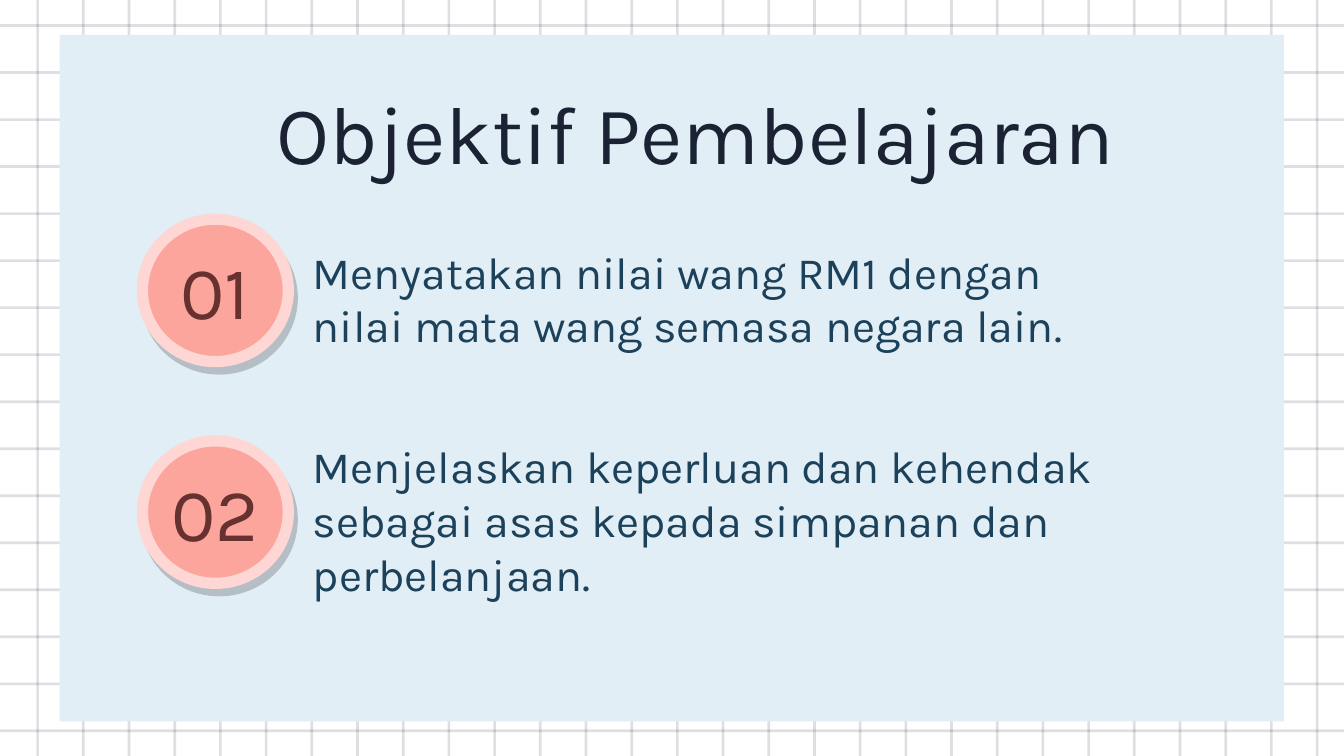
"""Build the learning objectives slide: a squared page, a card and numbered goals."""
import dataclasses

import lxml.etree
import pptx
import pptx.dml.color
import pptx.enum.shapes
import pptx.enum.text
import pptx.oxml.ns
import pptx.util

WIDTH = pptx.util.Inches(10)
HEIGHT = WIDTH * 9 // 16
FONT = "Karla"
COLORS = {
    "paper": "FFFFFF", "grid": "1A2233", "card": "E2EEF6", "title": "1A2233",
    "badge": "FBA59D", "ring": "FED7D5", "number": "66312E", "goal": "1C415A",
    "shadow": "000000",
}
SHAPES = pptx.enum.shapes.MSO_SHAPE
ALIGN = pptx.enum.text.PP_ALIGN
ANCHOR = pptx.enum.text.MSO_ANCHOR


@dataclasses.dataclass(frozen=True)
class Area:
    """Place and size in percent of the slide's width and height."""
    left: float
    top: float
    width: float
    height: float

    def lengths(self) -> tuple[int, int, int, int]:
        """Return left, top, width and height in EMU."""
        return (round(WIDTH * self.left / 100), round(HEIGHT * self.top / 100),
                round(WIDTH * self.width / 100), round(HEIGHT * self.height / 100))


@dataclasses.dataclass(frozen=True)
class Goal:
    """A numbered learning objective."""
    number: str
    text: str


GOALS = (
    Goal("01", "Menyatakan nilai wang RM1 dengan nilai mata wang semasa negara lain."),
    Goal("02", "Menjelaskan keperluan dan kehendak sebagai asas kepada simpanan "
               "dan perbelanjaan."),
)
GOAL_TOP, GOAL_STEP = 29, 29.33
GRID_ROWS, ROW_TOP, ROW_STEP = 16, 3.2, 6.22
GRID_COLUMNS, COLUMN_LEFT, COLUMN_STEP = 29, 2.7, 3.4


def rgb(name: str) -> pptx.dml.color.RGBColor:
    """Return a named colour."""
    return pptx.dml.color.RGBColor.from_string(COLORS[name])


def add_child(parent, tag: str, **attributes: str):
    """Append a DrawingML element."""
    return lxml.etree.SubElement(parent, pptx.oxml.ns.qn(tag), attributes)


def add_figure(page, kind, area: Area, color: str, opacity: int = 100):
    """Draw a filled shape without outline or shadow."""
    figure = page.shapes.add_shape(kind, *area.lengths())
    figure.shadow.inherit = False
    figure.fill.solid()
    figure.fill.fore_color.rgb = rgb(color)
    figure.line.fill.background()
    if opacity < 100:
        fill = figure._element.spPr.find(".//" + pptx.oxml.ns.qn("a:srgbClr"))
        add_child(fill, "a:alpha", val=str(opacity * 1000))
    return figure


def add_text(page, area: Area, text: str, *, size: int, color: str,
             align=ALIGN.LEFT, anchor=ANCHOR.MIDDLE, inset: float = 0.1) -> None:
    """Write one paragraph in a wrapped text box."""
    frame = page.shapes.add_textbox(*area.lengths()).text_frame
    frame.word_wrap = True
    frame.vertical_anchor = anchor
    for side in ("left", "top", "right", "bottom"):
        setattr(frame, f"margin_{side}", pptx.util.Inches(inset))
    para = frame.paragraphs[0]
    para.alignment = align
    span = para.add_run()
    span.text = text
    span.font.name = FONT
    span.font.size = pptx.util.Pt(size)
    span.font.color.rgb = rgb(color)


def add_grid(page) -> None:
    """Rule the page with evenly spaced thin bars."""
    rows = [Area(-0.8, ROW_TOP + ROW_STEP * row, 101.6, 0.36)
            for row in range(GRID_ROWS)]
    columns = [Area(COLUMN_LEFT + COLUMN_STEP * column, -2.84, 0.2, 104)
               for column in range(GRID_COLUMNS)]
    for area in rows + columns:
        add_figure(page, SHAPES.RECTANGLE, area, "grid", opacity=14)


def add_badge(page, top: float) -> None:
    """Draw a ringed circle with a hard drop shadow."""
    badge = add_figure(page, SHAPES.OVAL, Area(10.6, top, 10.86, 18.84), "badge")
    badge.line.color.rgb = rgb("ring")
    badge.line.width = pptx.util.Pt(6)
    effects = badge._element.spPr.find(pptx.oxml.ns.qn("a:effectLst"))
    shadow = add_child(effects, "a:outerShdw", blurRad="0",
                       dist=str(pptx.util.Pt(4.5)), dir=str(62 * 60000),
                       algn="bl", rotWithShape="0")
    shade = add_child(shadow, "a:srgbClr", val=COLORS["shadow"])
    add_child(shade, "a:alpha", val="20000")


def add_goal(page, goal: Goal, top: float) -> None:
    """Draw a badge with its number and the objective beside it."""
    add_badge(page, top)
    add_text(page, Area(22.3, top - 1.4, 63.2, 23.64), goal.text,
             size=24, color="goal")
    add_text(page, Area(10.84, top + 4.62, 10.3, 9.42), goal.number,
             size=40, color="number", align=ALIGN.CENTER, inset=0.13)


def main() -> None:
    """Build and save the deck."""
    deck = pptx.Presentation()
    deck.slide_width, deck.slide_height = WIDTH, HEIGHT
    page = deck.slides.add_slide(deck.slide_layouts[6])
    page.background.fill.solid()
    page.background.fill.fore_color.rgb = rgb("paper")
    add_grid(page)
    add_figure(page, SHAPES.RECTANGLE, Area(4.44, 4.6, 91.1, 90.84), "card")
    add_text(page, Area(18.93, 8, 65.7, 17.78), "Objektif Pembelajaran",
             size=44, color="title", align=ALIGN.CENTER, anchor=ANCHOR.BOTTOM)
    for index, goal in enumerate(GOALS):
        add_goal(page, goal, GOAL_TOP + GOAL_STEP * index)
    deck.save("out.pptx")


if __name__ == "__main__":
    main()
